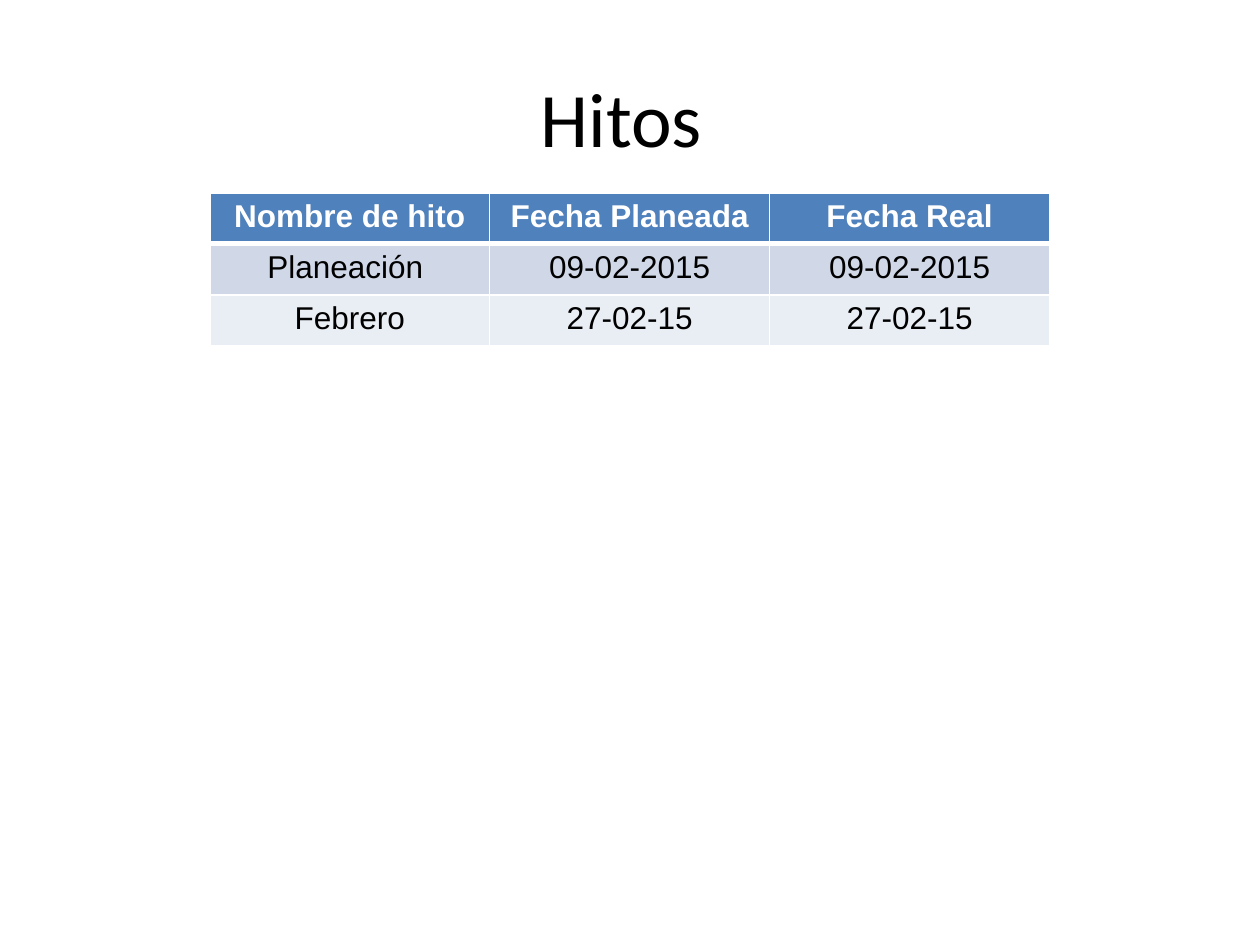
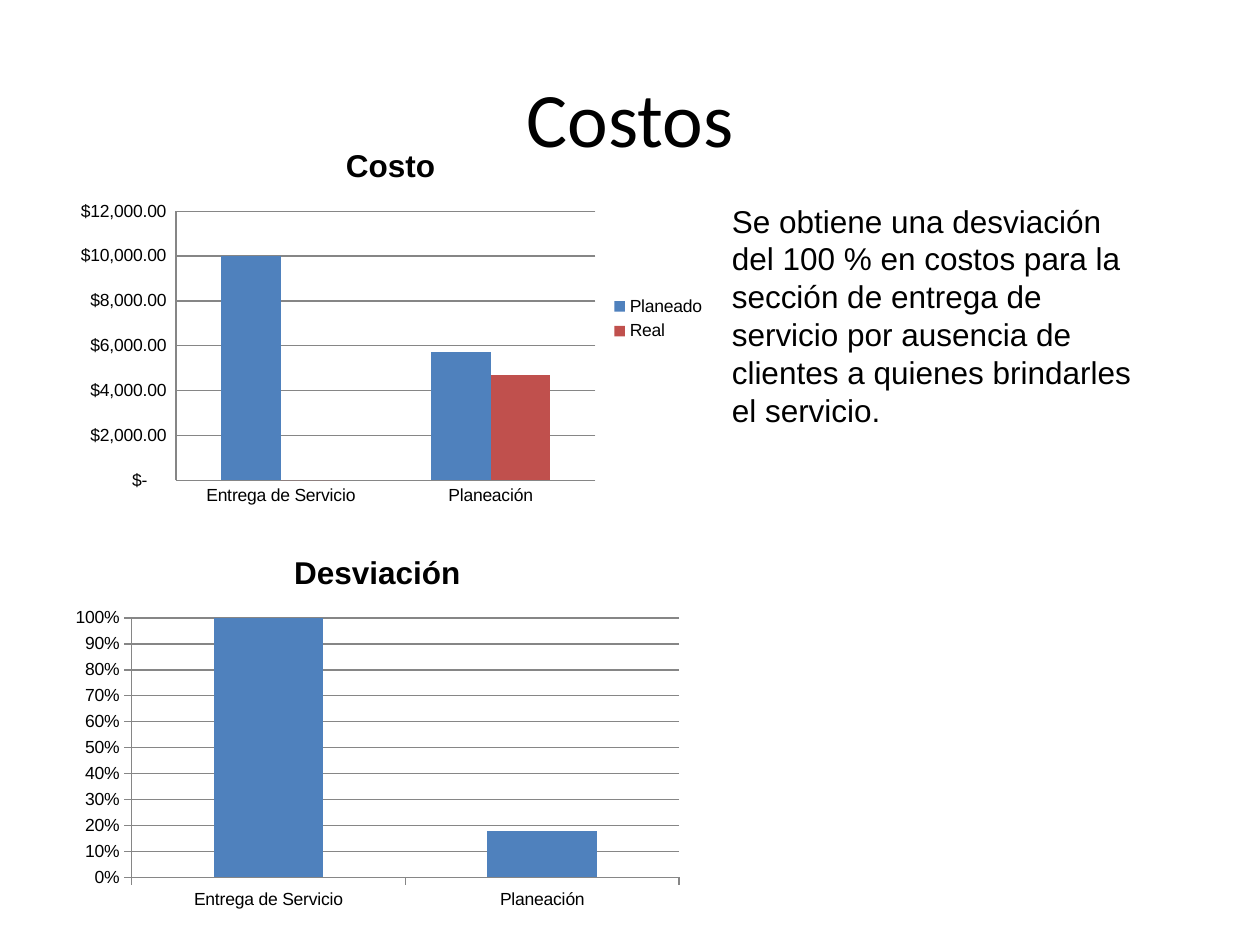
from lxml.etree import SubElement as Sub
from pptx import Presentation
from pptx.chart.data import CategoryChartData as Data
from pptx.dml.color import RGBColor as RGB
from pptx.enum.chart import XL_CHART_TYPE as Kind, XL_LEGEND_POSITION as Side, XL_TICK_MARK as Tick
from pptx.enum.text import MSO_ANCHOR as Anchor, PP_ALIGN as Align
from pptx.oxml.ns import qn
from pptx.util import Emu, Inches, Pt

BLACK = RGB(0x00, 0x00, 0x00)
WHITE = RGB(0xFF, 0xFF, 0xFF)
BLUE = RGB(0x4F, 0x81, 0xBD)
RED = RGB(0xC0, 0x50, 0x4D)
GREY = RGB(0x86, 0x86, 0x86)
BANDS = RGB(0xD0, 0xD8, 0xE8), RGB(0xE9, 0xED, 0xF4)

HEAD, BODY = "Calibri", "Arial"
COLS, ROWS = 20, 15
TITLE = 1, 0.6, 18, 2.5
MONEY = '_-"$"* #,##0.00_-;\\-"$"* #,##0.00_-;_-"$"* "-"??_-'
CATS = "Entrega de Servicio", "Planeación"


class Page:
    """Shared style and the slide being filled."""

    def __init__(self, deck):
        """Keep the deck and the size of one grid unit."""
        self.deck = deck
        self.wide = deck.slide_width / COLS
        self.high = deck.slide_height / ROWS
        self.slide = None

    def area(self, col, row, cols, rows):
        """Turn grid units into left, top, width and height."""
        return [Emu(round(n)) for n in (col * self.wide, row * self.high,
                                        cols * self.wide, rows * self.high)]

    def style(self, font, size, color=BLACK, bold=False, name=BODY):
        """Set the look of a font."""
        font.name, font.size, font.bold = name, Pt(size), bold
        font.color.rgb = color

    def put(self, para, text, size, align=Align.LEFT, **look):
        """Add one styled run to a paragraph."""
        para.alignment = align
        run = para.add_run()
        run.text = text
        self.style(run.font, size, **look)

    def start(self, title):
        """Open a new slide with its title."""
        self.slide = self.deck.slides.add_slide(self.deck.slide_layouts[5])
        shape = self.slide.shapes.title
        shape.left, shape.top, shape.width, shape.height = self.area(*TITLE)
        frame = shape.text_frame
        frame.vertical_anchor = Anchor.MIDDLE
        self.put(frame.paragraphs[0], title, 44, Align.CENTER, name=HEAD)

    def note(self, text, *spot):
        """Add a wrapped block of text."""
        frame = self.slide.shapes.add_textbox(*self.area(*spot)).text_frame
        frame.word_wrap = True
        self.put(frame.paragraphs[0], text, 18)

    def edge(self, cell, **widths):
        """Draw white borders of the given widths around a cell."""
        props = cell._tc.get_or_add_tcPr()
        for side in "LRTB":
            line = Sub(props, qn("a:ln" + side), w=str(int(Pt(widths.get(side, 1)))))
            fill = Sub(line, qn("a:solidFill"))
            Sub(fill, qn("a:srgbClr"), val=str(WHITE))

    def table(self, rows, *spot):
        """Add a banded table with a header row."""
        grid = self.slide.shapes.add_table(len(rows), len(rows[0]), *self.area(*spot)).table
        for r, row in enumerate(rows):
            for c, text in enumerate(row):
                cell = grid.cell(r, c)
                top = r == 0
                self.edge(cell, B=3 if top else 1, T=3 if r == 1 else 1)
                cell.fill.solid()
                cell.fill.fore_color.rgb = BLUE if top else BANDS[(r - 1) % 2]
                self.put(cell.text_frame.paragraphs[0], text, 18, Align.CENTER,
                         color=WHITE if top else BLACK, bold=top)

    def axis(self, axis, tick):
        """Style the line and ticks of an axis."""
        axis.major_tick_mark, axis.minor_tick_mark = tick, Tick.NONE
        axis.format.line.color.rgb = GREY
        axis.format.line.width = Pt(0.75)

    def chart(self, title, series, form, tick, *spot, legend=False):
        """Add a column chart and return its value axis."""
        data = Data()
        data.categories = CATS
        for name, vals, _ in series:
            data.add_series(name, vals)
        chart = self.slide.shapes.add_chart(
            Kind.COLUMN_CLUSTERED, *self.area(*spot), data).chart
        self.style(chart.font, 10)
        chart.has_title = True
        self.put(chart.chart_title.text_frame.paragraphs[0], title, 18,
                 Align.CENTER, bold=True)
        chart.has_legend = legend
        if legend:
            chart.legend.position = Side.RIGHT
            chart.legend.include_in_layout = False
        plot = chart.plots[0]
        plot.gap_width, plot.overlap, plot.vary_by_categories = 150, 0, False
        for item, (_, _, color) in zip(plot.series, series):
            item.format.fill.solid()
            item.format.fill.fore_color.rgb = color
        axis = chart.value_axis
        self.axis(chart.category_axis, tick)
        self.axis(axis, tick)
        axis.has_major_gridlines = True
        axis.major_gridlines.format.line.color.rgb = GREY
        axis.major_gridlines.format.line.width = Pt(0.75)
        axis.tick_labels.number_format = form
        axis.tick_labels.number_format_is_linked = False
        return axis


def hitos(page):
    """Build the milestone slide."""
    page.start("Hitos ")
    page.table([("Nombre de hito", "Fecha Planeada", "Fecha Real"),
                ("Planeación ", "09-02-2015", "09-02-2015"),
                ("Febrero", "27-02-15", "27-02-15")], 3.33, 3.06, 13.33, 2.43)


def costos(page):
    """Build the cost slide."""
    page.start("Costos")
    page.note("Se obtiene una desviación del 100 % en costos para la sección de "
              "entrega de servicio por ausencia de clientes a quienes brindarles "
              "el servicio.", 11.42, 3.1, 6.92, 3.84)
    page.chart("Costo", [("Planeado", (10000, 5700), BLUE), ("Real ", (0, 4700), RED)],
               MONEY, Tick.NONE, 1, 1.98, 10.4, 6.16, legend=True)
    axis = page.chart("Desviación", [("Desviación", (1, 0.18), BLUE)],
                      "0%", Tick.OUTSIDE, 1, 8.44, 9.98, 6.12)
    axis.minimum_scale, axis.maximum_scale, axis.major_unit = 0, 1, 0.1


deck = Presentation()
deck.slide_width, deck.slide_height = Inches(10), Inches(7.5)
page = Page(deck)
hitos(page)
costos(page)
deck.save("out.pptx")
